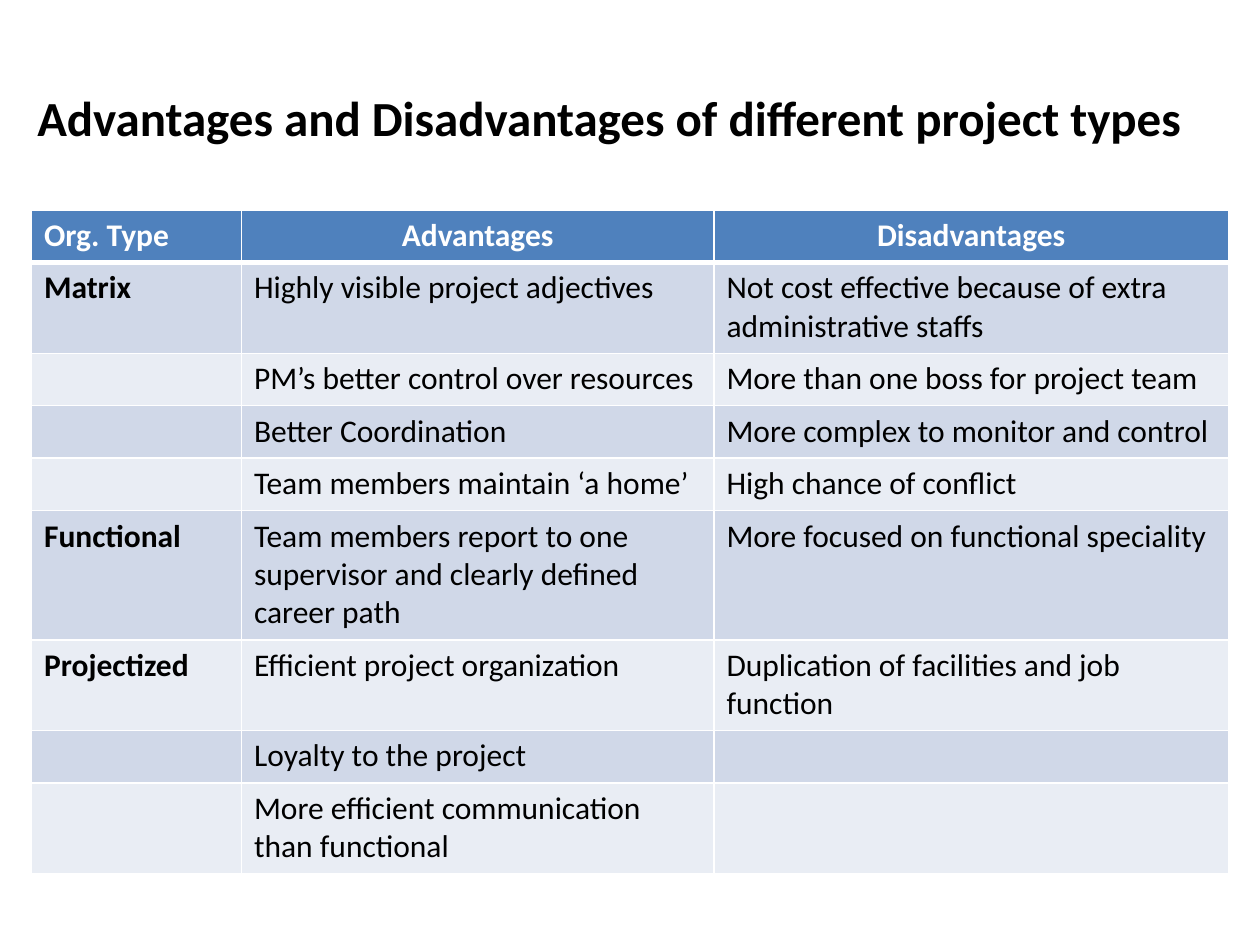
from lxml.etree import SubElement
from pptx import Presentation
from pptx.dml.color import RGBColor
from pptx.enum.text import MSO_ANCHOR as Anchor, PP_ALIGN as Align
from pptx.oxml.ns import qn
from pptx.util import Inches, Pt

WHITE = RGBColor(0xFF, 0xFF, 0xFF)
BLACK = RGBColor(0, 0, 0)
HEADER_BLUE = RGBColor(0x4F, 0x81, 0xBD)
BANDS = (RGBColor(0xD0, 0xD8, 0xE8), RGBColor(0xE9, 0xED, 0xF4))

HEADINGS = ("Org. Type", "Advantages", "Disadvantages")
ROWS = (
    (2, "Matrix", "Highly visible project adjectives",
     "Not cost effective because of extra administrative staffs"),
    (1, "", "PM’s better control over resources", "More than one boss for project team"),
    (1, "", "Better Coordination", "More complex to monitor and control"),
    (1, "", "Team members maintain ‘a home’", "High chance of conflict"),
    (3, "Functional", "Team members report to one supervisor and clearly defined career path",
     "More focused on functional speciality"),
    (2, "Projectized", "Efficient project organization",
     "Duplication of facilities and job function"),
    (1, "", "Loyalty to the project", ""),
    (2, "", "More efficient communication than functional", ""),
)


def write(frame, text, size=18, color=BLACK, bold=False, align=Align.LEFT):
    paragraph = frame.paragraphs[0]
    paragraph.alignment = align
    if not text:
        return
    run = paragraph.add_run()
    run.text = text
    run.font.name = "Calibri"
    run.font.size = Pt(size)
    run.font.bold = bold
    run.font.color.rgb = color


class SlideBuilder:
    unit = Inches(1) / 12
    padding = 1.35
    line_height = 3.65

    def __init__(self, slide):
        self.slide = slide

    def span(self, count):
        return round(count * self.unit)

    def title(self, text, *box):
        shape = self.slide.shapes.add_textbox(*map(self.span, box))
        frame = shape.text_frame
        frame.word_wrap = True
        frame.vertical_anchor = Anchor.MIDDLE
        write(frame, text, size=28, bold=True, align=Align.CENTER)

    def borders(self, cell, bottom):
        properties = cell._tc.get_or_add_tcPr()
        widths = {"L": 1, "R": 1, "T": 1, "B": bottom}
        for side, width in widths.items():
            line = SubElement(properties, qn(f"a:ln{side}"), w=str(Pt(width)))
            fill = SubElement(line, qn("a:solidFill"))
            SubElement(fill, qn("a:srgbClr"), val=str(WHITE))

    def cell(self, cell, text, fill, bottom=1, **style):
        self.borders(cell, bottom)
        cell.fill.solid()
        cell.fill.fore_color.rgb = fill
        write(cell.text_frame, text, **style)

    def table(self, left, top, widths, headings, rows):
        line_counts = [1] + [row[0] for row in rows]
        heights = [self.padding + self.line_height * count for count in line_counts]
        box = (left, top, sum(widths), sum(heights))
        table = self.slide.shapes.add_table(
            len(heights), len(widths), *map(self.span, box)).table
        for column, width in zip(table.columns, widths):
            column.width = self.span(width)
        for row, height in zip(table.rows, heights):
            row.height = self.span(height)
        for column, heading in enumerate(headings):
            self.cell(table.cell(0, column), heading, HEADER_BLUE, bottom=3, color=WHITE,
                      bold=True, align=Align.CENTER if column else Align.LEFT)
        for index, (_, *texts) in enumerate(rows):
            for column, text in enumerate(texts):
                self.cell(table.cell(index + 1, column), text, BANDS[index % 2],
                          bold=column == 0)


def main():
    presentation = Presentation()
    presentation.slide_width = Inches(10)
    presentation.slide_height = Inches(7.5)
    builder = SlideBuilder(presentation.slides.add_slide(presentation.slide_layouts[6]))
    builder.title("Advantages and Disadvantages of different project types", 2, 3.6, 112, 15)
    builder.table(3, 20, (20, 45, 49), HEADINGS, ROWS)
    presentation.save("out.pptx")


if __name__ == "__main__":
    main()
